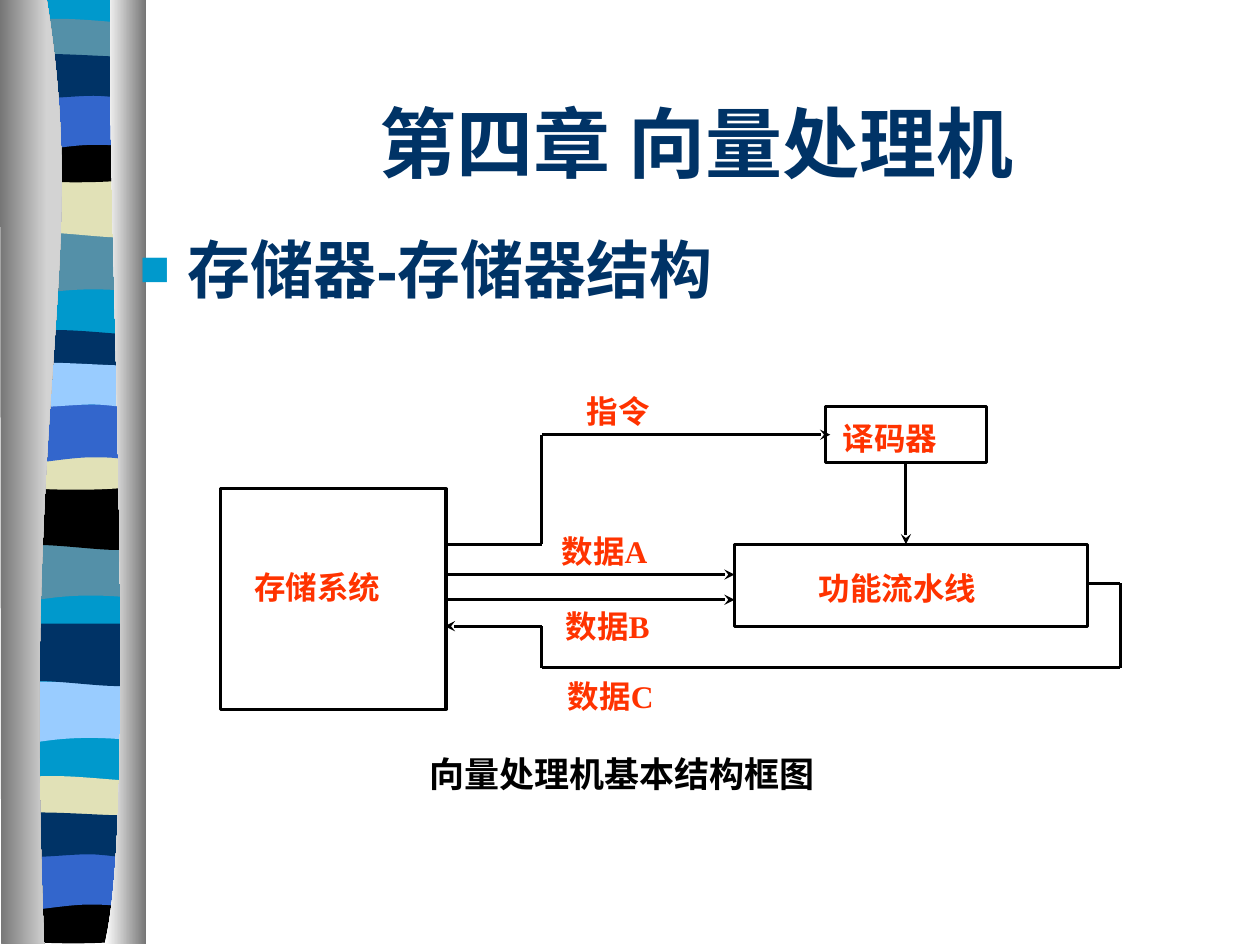
import pptx
import pptx.dml.color
import pptx.enum.shapes
import pptx.enum.text
import pptx.oxml
import pptx.oxml.ns
import pptx.util

PX = 9144  # EMU per px, 100 px to the inch
EAST_ASIAN_FONT = "Noto Sans CJK SC"
ALIGN = pptx.enum.text.PP_ALIGN
ANCHOR = pptx.enum.text.MSO_ANCHOR

COLORS = {
    "navy": "003366", "teal": "0099CC", "steel": "5490A8", "sand": "E1E1B7",
    "blue": "3366CC", "sky": "99CCFF", "black": "000000", "white": "FFFFFF",
    "red": "FF3300", "dark_gray": "767676", "light_gray": "D3D3D3",
}

# Band outlines from their own corner: two numbers are a line, six a curve
BANDS = {
    "dip": [(105, 0), (105, 47), (32, 39, 17, 55, 0, 47), (0, 0)],
    "roll": [(105, 0), (105, 47), (87, 55, 32, 41, 0, 47), (0, 0)],
    "lens": [(105, 4), (105, 29), (87, 33, 17, 33, 0, 29), (0, 4),
             (6, 0, 23, 0, 40, 0), (58, 0, 92, 4, 105, 4)],
    "cup": [(105, 0), (105, 33), (87, 38, 17, 38, 0, 33), (0, 0),
            (65, 5, 84, 0, 105, 0)],
    "arch": [(105, 0), (105, 48), (89, 42, 82, 42, 64, 42),
             (47, 42, 16, 48, 0, 48), (0, 0)],
    "ripple": [(105, 5), (105, 36), (98, 41, 82, 36, 65, 36),
               (47, 36, 11, 41, 0, 36), (0, 5), (15, 0, 71, 5, 89, 5),
               (106, 5, 102, 5, 105, 5)],
}

RIBBON = [
    ("dip", "steel", 8, 185), ("roll", "sand", 10, 139), ("lens", "steel", 10, 15),
    ("cup", "black", 8, 108), ("arch", "blue", 9, 73), ("ripple", "navy", 9, 40),
    ("dip", "steel", 6, 428), ("roll", "black", 7, 387), ("lens", "navy", 8, 262),
    ("cup", "sand", 8, 352), ("arch", "blue", 8, 321), ("ripple", "sky", 8, 285),
    ("dip", "sky", 5, 541), ("roll", "navy", 7, 495), ("lens", "sand", 6, 616),
    ("cup", "black", 6, 712), ("arch", "blue", 5, 676), ("ripple", "navy", 5, 642),
]


def rgb(name):
    return pptx.dml.color.RGBColor.from_string(COLORS[name])


def new_xml(tag, **attributes):
    element = pptx.oxml.parse_xml(f"<a:{tag} {pptx.oxml.ns.nsdecls('a')}/>")
    for name, value in attributes.items():
        element.set(name, str(value))
    return element


def add_xml(parent, tag, **attributes):
    child = new_xml(tag, **attributes)
    parent.append(child)
    return child


class Sketch:
    line_width = pptx.util.Pt(1.75)

    def __init__(self, slide):
        self.slide = slide
        self.shapes = slide.shapes

    def outline(self, outline, colors, left=0, top=0):
        """One colour gives a solid fill, two a left-to-right gradient."""
        points = [((segment[-2] + left) * PX, (segment[-1] + top) * PX)
                  for segment in outline]
        builder = self.shapes.build_freeform(*points[0])
        builder.add_line_segments(points[1:], close=True)
        shape = builder.convert_to_shape()
        self.bend(shape, outline, left, top)
        shape.shadow.inherit = False
        shape.line.fill.background()
        if len(colors) == 1:
            shape.fill.solid()
            shape.fill.fore_color.rgb = rgb(colors[0])
        else:
            shape.fill.gradient()
            shape.fill.gradient_angle = 0
            for stop, color in zip(shape.fill.gradient_stops, colors):
                stop.color.rgb = rgb(color)

    def bend(self, shape, outline, left, top):
        """Swap the straight segments for curves where the outline has them."""
        straights = list(shape.element.iter(pptx.oxml.ns.qn("a:lnTo")))
        for straight, segment in zip(straights, outline[1:]):
            if len(segment) == 6:
                curve = new_xml("cubicBezTo")
                for x, y in zip(segment[::2], segment[1::2]):
                    add_xml(curve, "pt", x=(x + left) * PX - shape.left,
                            y=(y + top) * PX - shape.top)
                straight.getparent().replace(straight, curve)

    def box(self, left, top, width, height):
        shape = self.shapes.add_shape(
            pptx.enum.shapes.MSO_SHAPE.RECTANGLE,
            left * PX, top * PX, width * PX, height * PX)
        shape.shadow.inherit = False
        shape.fill.solid()
        shape.fill.fore_color.rgb = rgb("white")
        shape.line.color.rgb = rgb("black")
        shape.line.width = self.line_width

    def route(self, *points):
        """Join the points with straight lines."""
        for (x1, y1), (x2, y2) in zip(points, points[1:]):
            connector = self.shapes.add_connector(
                pptx.enum.shapes.MSO_CONNECTOR.STRAIGHT,
                x1 * PX, y1 * PX, x2 * PX, y2 * PX)
            connector.line.color.rgb = rgb("black")
            connector.line.width = self.line_width
            add_xml(connector.element.spPr, "effectLst")
        # The last line carries the arrowhead
        line = connector.element.spPr.find(pptx.oxml.ns.qn("a:ln"))
        add_xml(line, "tailEnd", type="stealth")

    def text(self, text, left, top, width, height, size=18, color="red",
             font="Times New Roman", align=ALIGN.JUSTIFY, anchor=ANCHOR.TOP, spacing=1.5):
        box = self.shapes.add_textbox(left * PX, top * PX, width * PX, height * PX)
        frame = box.text_frame
        frame.word_wrap = True
        frame.vertical_anchor = anchor
        frame.text = text
        paragraph = frame.paragraphs[0]
        paragraph.alignment = align
        paragraph.line_spacing = spacing
        run = paragraph.runs[0]
        run.font.size = pptx.util.Pt(size)
        run.font.bold = True
        run.font.name = font
        run.font.color.rgb = rgb(color)
        add_xml(run.font._element, "ea", typeface=EAST_ASIAN_FONT)
        return paragraph

    def bullet(self, paragraph, color, indent):
        paragraph.space_before = pptx.util.Pt(9)
        properties = paragraph._p.get_or_add_pPr()
        properties.set("marL", str(indent * PX))
        properties.set("indent", str(-indent * PX))
        add_xml(add_xml(properties, "buClr"), "srgbClr", val=COLORS[color])
        add_xml(properties, "buSzPct", val=80000)
        add_xml(properties, "buFont", typeface="Arial")
        add_xml(properties, "buChar", char="■")


def main():
    presentation = pptx.Presentation()
    presentation.slide_width = 1000 * PX
    presentation.slide_height = 750 * PX
    sketch = Sketch(presentation.slides.add_slide(presentation.slide_layouts[6]))

    # Ribbon between two shaded edges
    sketch.outline([(114, -1), (114, 747), (9, 747), (9, -1)], ["teal"])
    for band, color, left, top in RIBBON:
        sketch.outline(BANDS[band], [color], left, top)
    sketch.outline([(37, -1), (72, 216, 17, 296, 35, 749), (1, 749), (0, -1)],
                   ["dark_gray", "light_gray"])
    sketch.outline([(88, -1), (83, 125, 111, 646, 83, 749), (116, 749), (116, 0)],
                   ["white", "dark_gray"])

    # Title and heading
    sketch.text("第四章 向量处理机", 128, 50, 850, 125, 44, "navy", EAST_ASIAN_FONT,
                ALIGN.CENTER, ANCHOR.MIDDLE, 1)
    heading = sketch.text("存储器-存储器结构", 101, 178, 815, 89, 36, "navy", "Arial",
                          ALIGN.LEFT, spacing=1)
    sketch.bullet(heading, "teal", 38)

    # Units of the processor
    sketch.box(583, 432, 280, 65)
    sketch.text("功能流水线", 640, 432, 178, 59)
    sketch.box(175, 388, 179, 175)
    sketch.text("存储系统", 192, 446, 153, 59, spacing=1)
    sketch.box(655, 323, 128, 44)
    sketch.text("译码器", 659, 313, 127, 59)

    # Instruction, operand, result and control paths
    sketch.route((354, 432), (430, 432), (430, 345), (659, 345))
    for y in (456, 476):
        sketch.route((353, y), (583, y))
    sketch.route((863, 463), (889, 463), (889, 530), (430, 530), (430, 497), (353, 497))
    sketch.route((719, 367), (719, 432))

    # Path labels and caption
    for label, left, top, width in (("指令", 456, 291, 102), ("数据A", 436, 402, 127),
                                    ("数据B", 439, 462, 127), ("数据C", 441, 517, 127)):
        sketch.text(label, left, top, width, 59)
    sketch.text("向量处理机基本结构框图", 331, 592, 334, 44, 20, "black",
                align=ALIGN.LEFT, spacing=1)

    presentation.save("out.pptx")


if __name__ == "__main__":
    main()
